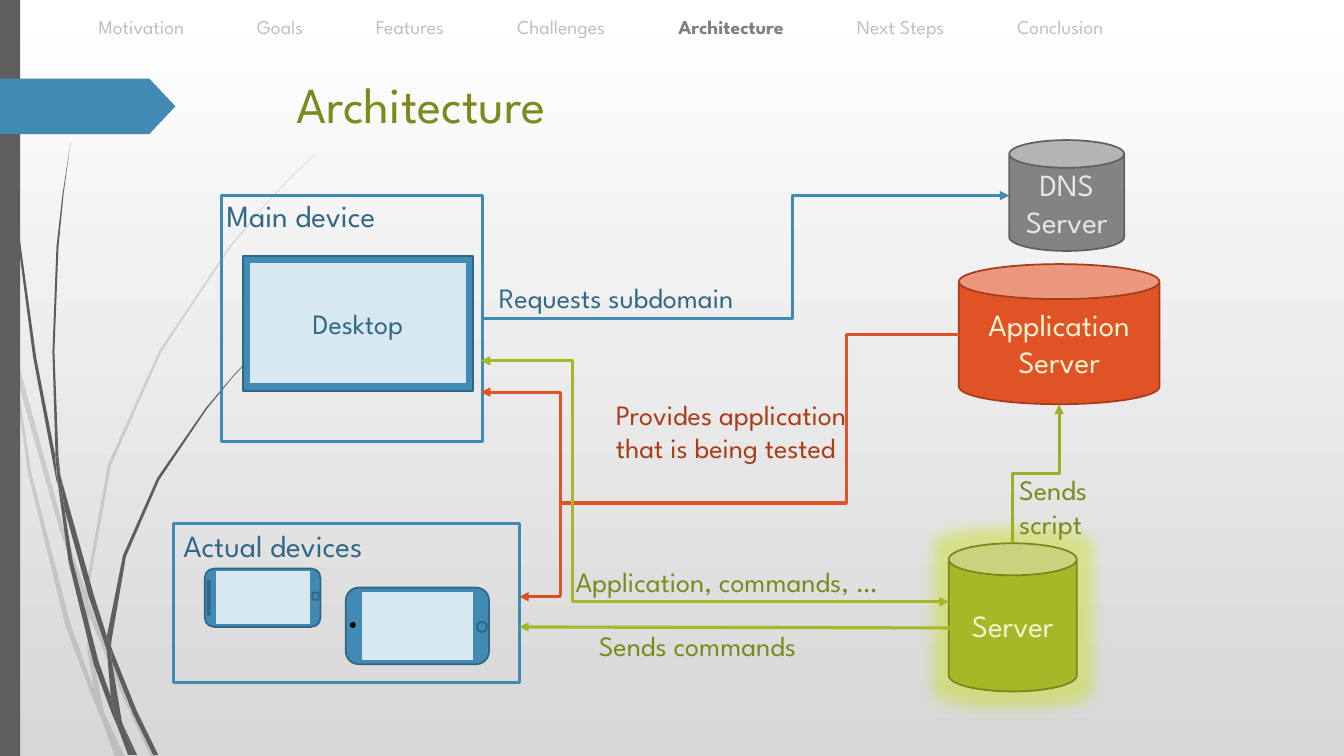
from lxml import etree
from pptx import Presentation
from pptx.dml.color import RGBColor
from pptx.enum import shapes, text
from pptx.oxml.ns import qn
from pptx.util import Inches, Pt

BLUE, NAVY, ICE, INK = "418AB3", "306684", "D8E8F1", "316886"
GREEN, OLIVE, ORANGE, GRAY = "A6B727", "7D891D", "DF5327", "5E5E5E"
FONT = "League Spartan"
RECT, ROUND, OVAL, CAN = (
    shapes.MSO_SHAPE.RECTANGLE, shapes.MSO_SHAPE.ROUNDED_RECTANGLE,
    shapes.MSO_SHAPE.OVAL, shapes.MSO_SHAPE.CAN)


def paint(shape, fill=None, line=None, weight=1.25):
    shape.shadow.inherit = False
    for target, colour in ((shape.fill, fill), (shape.line.fill, line)):
        if colour:
            target.solid()
            target.fore_color.rgb = RGBColor.from_string(colour)
        else:
            target.background()
    if line:
        shape.line.width = Pt(weight)


def write(paragraph, words, size, colour, bold=False):
    run = paragraph.add_run()
    run.text = words
    for name, value in {"name": FONT, "size": Pt(size), "bold": bold}.items():
        setattr(run.font, name, value)
    run.font.color.rgb = RGBColor.from_string(colour)


presentation = Presentation()
presentation.slide_width, presentation.slide_height = Inches(13.33), Inches(7.5)
slide = presentation.slides.add_slide(presentation.slide_layouts[6])

background = slide.background.fill
background.gradient()
background.gradient_angle = 270
for stop, colour in zip(background.gradient_stops, ("FFFFFF", "D7D7D7")):
    stop.color.rgb = RGBColor.from_string(colour)

# Pieces of the grass blades, in hundredths of an inch
pale_grass = [
    [(11, 350), (9, 322), (0, 282), (0, 299), (10, 344)],
    [(58, 522), (84, 599), (85, 586), (62, 520), (14, 345), (17, 376)],
    [(92, 607), (88, 596), (88, 610), (123, 694), (150, 751), (155, 751), (127, 692)],
    [(119, 751), (124, 751), (105, 711)],
    [(93, 683), (70, 619), (31, 469), (17, 376), (11, 350), (28, 470), (65, 621), (92, 693),
     (101, 714), (99, 707)],
    [(84, 599), (87, 646), (93, 683), (96, 692), (105, 711), (103, 706), (91, 646), (88, 610),
     (88, 608)],
    [(88, 584), (110, 462), (160, 349), (229, 245), (268, 198), (290, 175), (312, 154),
     (312, 153), (289, 175), (268, 197), (228, 244), (158, 348), (107, 461), (85, 584),
     (85, 586), (88, 596)],
    [(101, 714), (114, 751), (119, 751)],
    [(88, 608), (88, 610), (88, 596), (85, 586), (84, 599)],
    [(96, 692), (93, 683), (99, 707), (101, 714), (119, 751), (105, 711)],
]
dark_grass = [
    [(7, 110), (17, 233), (33, 355), (56, 477), (57, 481), (55, 457), (55, 453), (36, 355),
     (19, 232), (8, 109), (5, 48), (4, 0), (3, 0), (4, 48)],
    [(88, 592), (106, 645), (106, 633), (106, 631), (93, 590), (60, 472), (64, 505)],
    [(113, 649), (110, 641), (111, 656), (132, 708), (152, 749), (157, 749), (136, 706)],
    [(110, 691), (98, 657), (72, 556), (64, 505), (57, 477), (68, 557), (93, 659), (111, 708),
     (117, 722), (116, 717)],
    [(60, 472), (58, 453), (54, 349), (58, 245), (63, 193), (70, 141), (62, 193), (56, 245),
     (52, 349), (55, 449)],
    [(133, 749), (136, 749), (122, 719)],
    [(57, 477), (64, 505), (60, 472), (55, 449), (55, 453)],
    [(111, 633), (125, 552), (158, 476), (205, 406), (231, 374), (245, 359), (261, 344),
     (260, 344), (245, 358), (231, 373), (204, 405), (156, 474), (122, 551), (106, 631),
     (110, 641)],
    [(117, 722), (127, 749), (131, 749)],
    [(106, 645), (110, 691), (116, 706), (122, 719), (121, 716), (111, 656), (109, 651)],
    [(106, 645), (109, 651), (111, 656), (110, 641), (106, 631), (106, 633)],
    [(116, 706), (110, 691), (116, 717), (117, 722), (130, 749), (133, 749), (122, 719)],
]
for pieces, opacity in ((pale_grass, 20), (dark_grass, 100)):
    for outline in pieces:
        builder = slide.shapes.build_freeform(*outline[0], scale=Inches(.01))
        builder.add_line_segments(outline[1:], close=True)
        blade = builder.convert_to_shape()
        paint(blade, GRAY)
        colour_xml = blade._element.spPr.find(qn("a:solidFill"))[0]
        etree.SubElement(colour_xml, qn("a:alpha"), val=str(opacity * 1000))

side_bar = slide.shapes.add_shape(RECT, 0, 0, Inches(.2), Inches(7.5))
paint(side_bar, GRAY)
marker = slide.shapes.add_shape(
    shapes.MSO_SHAPE.PENTAGON, 0, Inches(.78), Inches(1.74), Inches(.55))
marker.adjustments[0] = .47
paint(marker, BLUE)

# kind, place, fill, line, line weight
device_parts = [
    (RECT, (2.41, 2.54, 2.28, 1.34), BLUE, NAVY, 1.25),
    (RECT, (2.2, 1.94, 2.59, 2.44), None, BLUE, 2.25),
    (ROUND, (3.43, 5.83, 1.42, .76), BLUE, NAVY, 1.25),
    (RECT, (3.58, 5.86, 1.12, .7), ICE, BLUE, 1.25),
    (OVAL, (4.73, 6.17, .1, .1), BLUE, NAVY, 1.25),
    (OVAL, (3.48, 6.18, .04, .04), "000000", "000000", 1.25),
    (ROUND, (2.03, 5.64, 1.15, .58), BLUE, NAVY, 1.25),
    (RECT, (2.13, 5.66, .95, .54), ICE, BLUE, 1.25),
    (ROUND, (3.1, 5.88, .06, .07), BLUE, NAVY, 1.25),
    (ROUND, (2.06, 5.76, .02, .34), BLUE, NAVY, 1.25),
    (RECT, (1.72, 5.19, 3.43, 1.58), None, BLUE, 2.25),
]
for kind, place, fill, line, weight in device_parts:
    part = slide.shapes.add_shape(kind, *map(Inches, place))
    paint(part, fill, line, weight)

nodes = [
    (RECT, (2.47, 2.6, 2.16, 1.21), ICE, BLUE, "Desktop", 20, INK),
    (CAN, (9.51, 2.62, 1.99, 1.39), ORANGE, "A53D1D", "Application Server", 22, "FFF3CD"),
    (CAN, (10.01, 1.39, 1.14, 1.1), "838383", "616161", "DNS Server", 22, "E6E6E6"),
    (CAN, (9.41, 5.39, 1.27, 1.47), GREEN, "7B871D", "Server", 22, "F0F5D0"),
]
for kind, place, fill, line, words, size, colour in nodes:
    node = slide.shapes.add_shape(kind, *map(Inches, place))
    paint(node, fill, line)
    node.text_frame.word_wrap = True
    node.text_frame.vertical_anchor = text.MSO_ANCHOR.MIDDLE
    paragraph = node.text_frame.paragraphs[0]
    paragraph.alignment = text.PP_ALIGN.CENTER
    write(paragraph, words, size, colour)
    if words == "Server":
        effects = node._element.spPr.find(qn("a:effectLst"))
        glow = etree.SubElement(effects, qn("a:glow"), rad=str(Inches(.3)))
        glow_colour = etree.SubElement(glow, qn("a:srgbClr"), val="C4DE00")
        etree.SubElement(glow_colour, qn("a:alpha"), val="40000")

labels = [
    ((2.84, .68, 9.75, 1.4), "Architecture", 36, OLIVE),
    ((2.15, 1.9, 2.08, .47), "Main device", 22, INK),
    ((1.72, 5.18, 2.44, .47), "Actual devices", 22, INK),
    ((4.85, 2.73, 3.08, .44), "Requests subdomain", 20, INK),
    ((5.84, 6.19, 2.62, .44), "Sends commands", 20, OLIVE),
    ((10.01, 4.64, 1.05, .77), "Sends script", 20, OLIVE),
    ((6.01, 3.89, 2.51, 1.11), "Provides application that is being tested", 20, "AB3C19"),
    ((5.61, 5.55, 3.93, .44), "Application, commands, …", 20, OLIVE),
]
for place, words, size, colour in labels:
    label = slide.shapes.add_textbox(*map(Inches, place))
    label.text_frame.word_wrap = True
    write(label.text_frame.paragraphs[0], words, size, colour)

# start, end, colour, arrowheads, bend as a share of the length, rotation in degrees
links = [
    ((4.79, 3.16), (10.01, 1.94), BLUE, ["tailEnd"], .588, 0),
    ((10.96, 4.93), (9.59, 4.47), "9FAF25", ["tailEnd"], .5, 90),
    ((9.51, 3.32), (5.57, 4.99), ORANGE, [], .283, 0),
    ((4.77, 3.58), (9.41, 5.97), GREEN, ["headEnd", "tailEnd"], .196, 0),
    ((5.56, 4.79), (5.56, 3.89), ORANGE, [], None, 0),
    ((5.56, 5.91), (5.56, 4.79), ORANGE, [], None, 0),
    ((5.56, 3.89), (4.77, 3.89), ORANGE, ["tailEnd"], None, 0),
    ((5.56, 5.92), (5.15, 5.92), "D54F25", ["tailEnd"], None, 0),
    ((9.51, 6.23), (5.15, 6.22), GREEN, ["tailEnd"], None, 0),
]
for start, end, colour, arrowheads, bend, rotation in links:
    kind = shapes.MSO_CONNECTOR.ELBOW if bend else shapes.MSO_CONNECTOR.STRAIGHT
    link = slide.shapes.add_connector(kind, *map(Inches, start + end))
    link.line.color.rgb = RGBColor.from_string(colour)
    link.line.width = Pt(2.25)
    properties = link._element.spPr
    for arrowhead in arrowheads:
        etree.SubElement(properties.find(qn("a:ln")), qn("a:" + arrowhead), type="triangle")
    etree.SubElement(properties, qn("a:effectLst"))
    if bend:
        guides = properties.find(qn("a:prstGeom")).get_or_add_avLst()
        etree.SubElement(guides, qn("a:gd"), name="adj1", fmla=f"val {round(bend * 100000)}")
    if rotation:
        properties.find(qn("a:xfrm")).set("rot", str(rotation * 60000))

# Section names with their tab positions
sections = [("Motivation", 0), ("Goals", 1.57), ("Features", 2.75), ("Challenges", 4.15),
            ("Architecture", 5.75), ("Next Steps", 7.52), ("Conclusion", 9.11)]
navigation = slide.shapes.add_textbox(Inches(.88), Inches(.1), Inches(11.7), Inches(.34))
navigation.text_frame.word_wrap = True
paragraph = navigation.text_frame.paragraphs[0]
tabs = etree.SubElement(paragraph._p.get_or_add_pPr(), qn("a:tabLst"))
for name, position in sections:
    current = name == "Architecture"
    if position:
        etree.SubElement(tabs, qn("a:tab"), pos=str(Inches(position)), algn="l")
        name = "\t" + name
    write(paragraph, name, 14, "808080" if current else "BFBFBF", current)

presentation.save("out.pptx")
